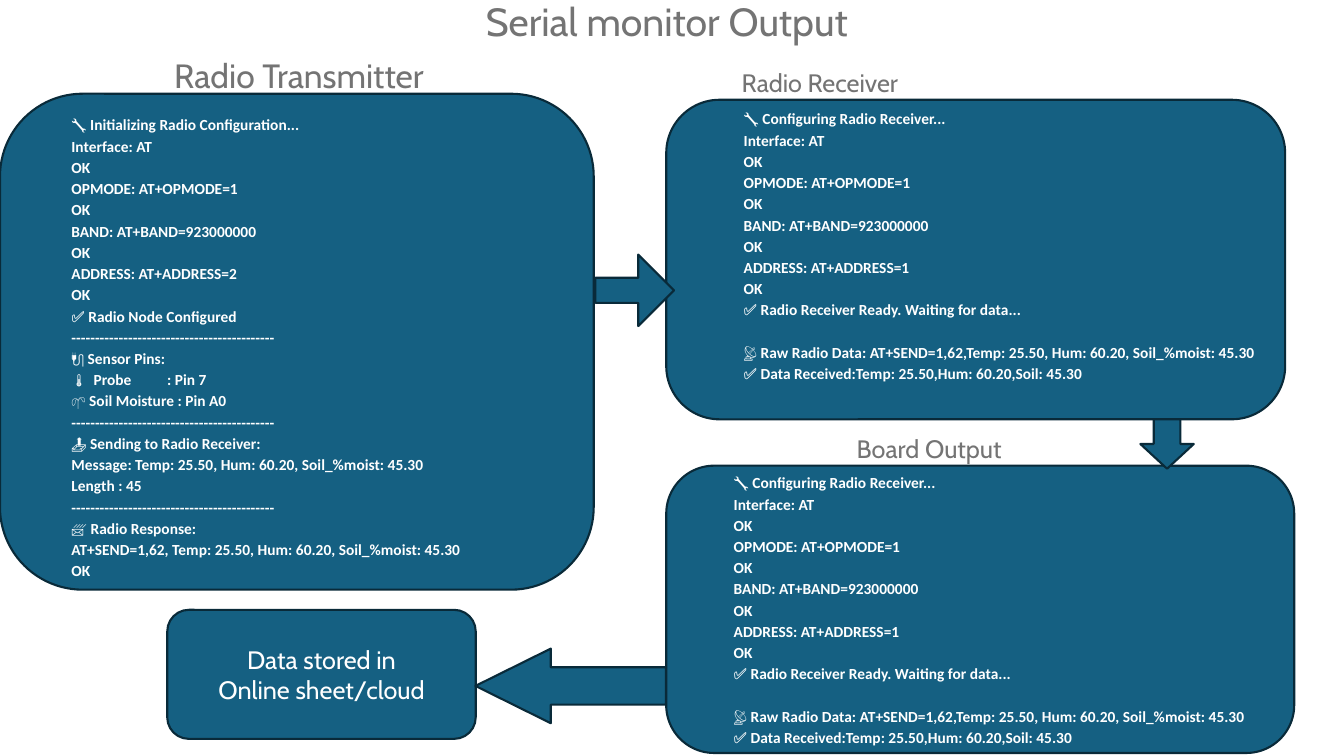
from dataclasses import dataclass

from pptx import Presentation, util as u
from pptx.dml.color import RGBColor
from pptx.enum import shapes, text
from pptx.oxml import parse_xml
from pptx.oxml.ns import nsdecls


@dataclass(frozen=True)
class Theme:
    panel: RGBColor = RGBColor.from_string("156082")
    outline: RGBColor = RGBColor.from_string("092A39")
    heading: RGBColor = RGBColor.from_string("747474")
    log: RGBColor = RGBColor.from_string("FFFFFF")
    display_font: str = "Cabin"
    log_font: str = "Calibri"
    icon_font: str = "Roboto"
    title_size: int = 28
    sender_size: int = 24
    label_size: int = 18
    log_size: int = 11


THEME = Theme()
SLIDE_W, SLIDE_H = u.Inches(13.33), u.Inches(7.5)
COLUMN, ROW = SLIDE_W / 40, SLIDE_H / 30
LOG_SPACING = 1.15
BLANK_LINE = u.Pt(15.2)
PIN_TABS = (0.22, 0.95)  # inches: sensor name, pin number

RULE = "-" * 43
GAP = ""  # opens a gap above the next log line


def setup_log(first, address, ready):
    """Log lines as (icon, words) pairs."""
    commands = ("OPMODE: AT+OPMODE=1", "BAND: AT+BAND=923000000",
                f"ADDRESS: AT+ADDRESS={address}")
    lines = [("🔧", f" {first}"), ("", "Interface: AT"), ("", "OK")]
    for command in commands:
        lines += [("", command), ("", "OK")]
    return lines + [("✅", f" {ready}")]


TRANSMITTER_LOG = setup_log("Initializing Radio Configuration...", 2, "Radio Node Configured") + [
    ("", RULE),
    ("🔌", " Sensor Pins:"),
    ("🌡️", "\tProbe\t: Pin 7"),
    ("🌱", " Soil Moisture : Pin A0"),
    ("", RULE),
    ("📤", " Sending to Radio Receiver:"),
    ("", "Message: Temp: 25.50, Hum: 60.20, Soil_%moist: 45.30"),
    ("", "Length : 45"),
    ("", RULE),
    ("📨", " Radio Response:"),
    ("", "AT+SEND=1,62, Temp: 25.50, Hum: 60.20, Soil_%moist: 45.30"),
    ("", "OK"),
]
RECEIVER_LOG = setup_log("Configuring Radio Receiver...", 1,
                         "Radio Receiver Ready. Waiting for data...") + [
    ("", GAP),
    ("📡", " Raw Radio Data: AT+SEND=1,62,Temp: 25.50, Hum: 60.20, Soil_%moist: 45.30"),
    ("✅", " Data Received:Temp: 25.50,Hum: 60.20,Soil: 45.30"),
]


def place(left, top, width, height):
    """Turn grid columns and rows into slide lengths."""
    return (round(left * COLUMN), round(top * ROW),
            round(width * COLUMN), round(height * ROW))


def style(font, face, size, color, bold=False):
    font.name, font.size, font.bold = face, u.Pt(size), bold
    font.color.rgb = color


def add_block(slide, kind, box, adjustments=()):
    block = slide.shapes.add_shape(kind, *place(*box))
    block.shadow.inherit = False
    block.fill.solid()
    block.fill.fore_color.rgb = THEME.panel
    block.line.color.rgb = THEME.outline
    block.line.width = u.Pt(1.5)
    for index, value in enumerate(adjustments):
        block.adjustments[index] = value
    return block


def add_title(slide, box):
    title = slide.shapes.title
    title.left, title.top, title.width, title.height = place(*box)
    frame = title.text_frame
    frame.text = "Serial monitor Output"
    frame.auto_size = text.MSO_AUTO_SIZE.NONE
    frame.vertical_anchor = text.MSO_ANCHOR.TOP
    line = frame.paragraphs[0]
    line.alignment = text.PP_ALIGN.LEFT
    style(line.runs[0].font, THEME.display_font, THEME.title_size, THEME.heading)


def add_heading(slide, words, box, size):
    frame = slide.shapes.add_textbox(*place(*box)).text_frame
    frame.word_wrap = True
    frame.text = words
    style(frame.paragraphs[0].runs[0].font, THEME.display_font, size, THEME.heading)


def set_tabs(paragraph):
    stops = "".join(f'<a:tab pos="{u.Inches(stop)}" algn="l"/>' for stop in PIN_TABS)
    paragraph._p.get_or_add_pPr().append(
        parse_xml(f'<a:tabLst {nsdecls("a")}>{stops}</a:tabLst>'))


def add_log(slide, lines, box):
    frame = slide.shapes.add_textbox(*place(*box)).text_frame
    frame.word_wrap = True
    paragraph, gap_above = frame.paragraphs[0], False
    for number, (icon, words) in enumerate(lines):
        if words == GAP:
            gap_above = True
            continue
        if number:
            paragraph = frame.add_paragraph()
        if "\t" in words:
            set_tabs(paragraph)
        paragraph.line_spacing = LOG_SPACING
        if gap_above:
            paragraph.space_before, gap_above = BLANK_LINE, False
        for part, face in ((icon, THEME.icon_font), (words, THEME.log_font)):
            if part:
                run = paragraph.add_run()
                run.text = part
                style(run.font, face, THEME.log_size, THEME.log, bold=True)


def add_monitor(slide, box, heading, heading_at, heading_size, lines, log_at, log_width):
    """A heading over a rounded panel with its log; offsets start at the panel corner."""
    left, top, _, height = box
    add_heading(slide, heading,
                (left + heading_at[0], top + heading_at[1], 12, 2), heading_size)
    add_block(slide, shapes.MSO_SHAPE.ROUNDED_RECTANGLE, box)
    add_log(slide, lines, (left + log_at[0], top + log_at[1], log_width, height))


def add_storage(slide, box):
    frame = add_block(slide, shapes.MSO_SHAPE.ROUNDED_RECTANGLE, box).text_frame
    frame.text = "Data stored in\nOnline sheet/cloud"
    frame.vertical_anchor = text.MSO_ANCHOR.MIDDLE
    for line in frame.paragraphs:
        line.alignment = text.PP_ALIGN.CENTER
        style(line.runs[0].font, THEME.display_font, THEME.label_size, THEME.log)


def main():
    deck = Presentation()
    deck.slide_width, deck.slide_height = SLIDE_W, SLIDE_H
    slide = deck.slides.add_slide(deck.slide_layouts[5])

    add_title(slide, (14.16, -0.32, 15.69, 2.28))

    # Serial monitors
    add_monitor(slide, (0, 3.72, 17.67, 19.68), "Radio Transmitter", (4.89, -1.72),
                THEME.sender_size, TRANSMITTER_LOG, (1.83, 0.56), 15)
    add_monitor(slide, (19.83, 3.96, 18.42, 12.68), "Radio Receiver", (1.95, -1.48),
                THEME.label_size, RECEIVER_LOG, (2.01, 0.08), 16.4)
    add_monitor(slide, (19.83, 18.48, 18.69, 11.4), "Board Output", (5.37, -1.48),
                THEME.label_size, RECEIVER_LOG, (1.71, 0), 17.19)

    # Data flow: transmitter, receiver, board, storage
    add_block(slide, shapes.MSO_SHAPE.RIGHT_ARROW, (17.72, 10.1, 2.34, 2.84), (0.35, 0.5))
    add_block(slide, shapes.MSO_SHAPE.DOWN_ARROW, (33.94, 16.64, 1.59, 1.96))
    add_storage(slide, (4.98, 24.2, 9.18, 5.12))
    add_block(slide, shapes.MSO_SHAPE.LEFT_ARROW, (14.15, 25.74, 5.67, 2.96), (0.5, 1.01))

    deck.save("out.pptx")


if __name__ == "__main__":
    main()
